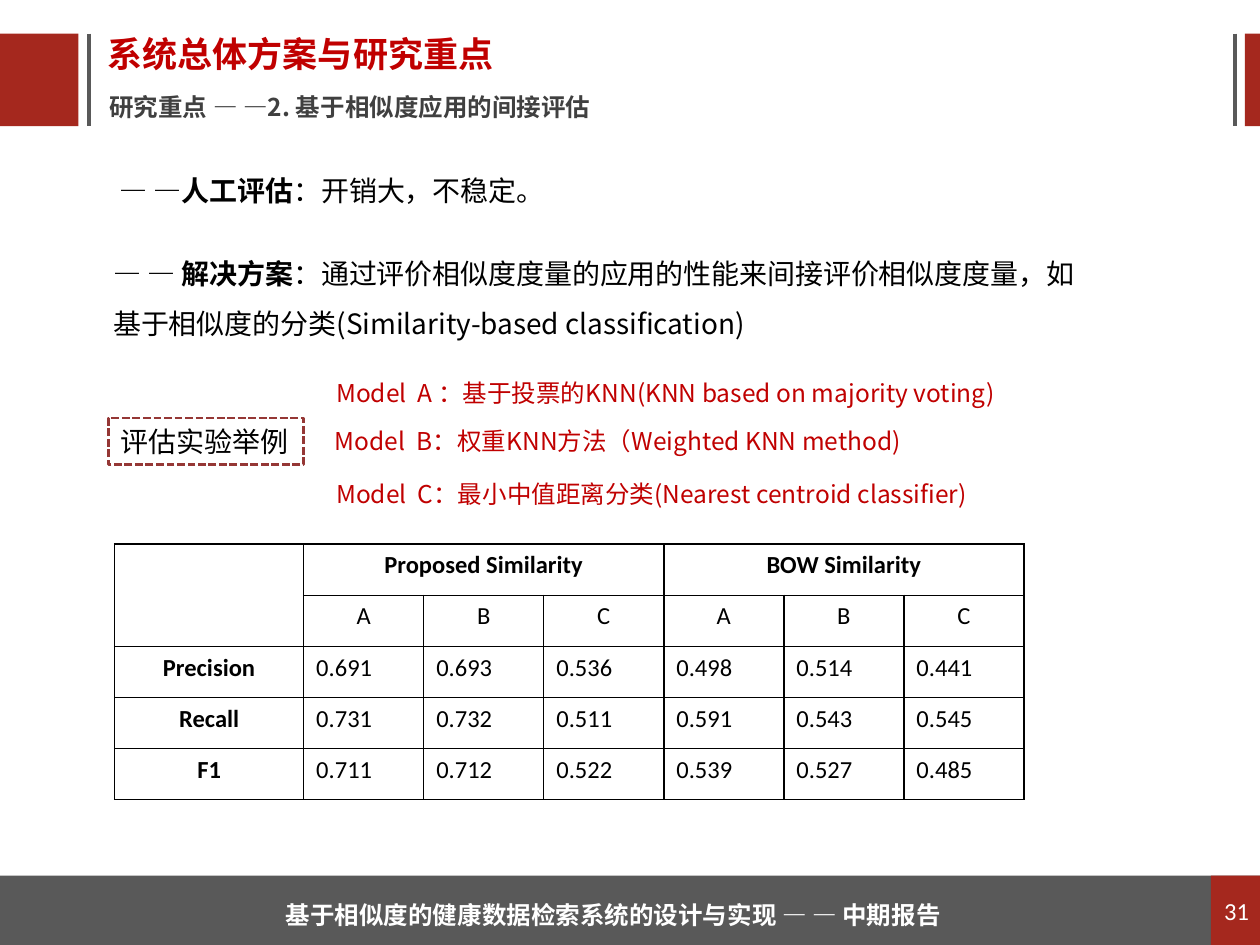
"""Build the slide on indirect evaluation through similarity-based classification."""
from lxml.etree import SubElement
from pptx import Presentation
from pptx.dml.color import RGBColor
from pptx.enum.dml import MSO_LINE
from pptx.enum.shapes import MSO_CONNECTOR, MSO_SHAPE
from pptx.enum.text import MSO_ANCHOR, MSO_AUTO_SIZE, PP_ALIGN
from pptx.oxml.ns import qn
from pptx.util import Pt

COLORS = {name: RGBColor.from_string(value) for name, value in {
    "brick": "A5281E", "gray": "595959", "dark": "404040", "red": "C00000",
    "black": "000000", "white": "FFFFFF", "dash": "953735"}.items()}
CJK = "Noto Sans CJK SC"


def write(frame, runs, size, color, bold=False, font=CJK, align=PP_ALIGN.LEFT):
    paragraph = frame.paragraphs[0]
    paragraph.alignment = align
    paragraph.font.size = Pt(size)
    paragraph.font.name = font
    paragraph.font.color.rgb = COLORS[color]
    if len(runs) == 1:
        paragraph.font.bold = bold
    SubElement(paragraph.font._element, qn("a:ea"), typeface=font)
    for text, strong in runs:
        run = paragraph.add_run()
        run.text = text
        if len(runs) > 1:
            run.font.bold = strong
    return paragraph


def add_block(left, top, width, height, fill=None):
    block = slide.shapes.add_shape(
        MSO_SHAPE.RECTANGLE, Pt(left), Pt(top), Pt(width), Pt(height))
    block.shadow.inherit = False
    block.line.fill.background()
    if fill:
        block.fill.solid()
        block.fill.fore_color.rgb = COLORS[fill]
    else:
        block.fill.background()
    return block


prs = Presentation()
prs.slide_width, prs.slide_height = Pt(720), Pt(540)
slide = prs.slides.add_slide(prs.slide_layouts[5])

for block_left, block_width, rule_x in ((711.4, 9.2, 705.6), (0, 44.8, 51)):
    add_block(block_left, 19.2, block_width, 53, "brick")
    rule = slide.shapes.add_connector(
        MSO_CONNECTOR.STRAIGHT, Pt(rule_x), Pt(19.2), Pt(rule_x), Pt(72))
    rule.line.color.rgb = COLORS["gray"]
    rule.line.width = Pt(2.25)
    SubElement(rule._element.spPr, qn("a:effectLst"))

title = slide.shapes.title
title.left, title.top, title.width, title.height = Pt(61.5), Pt(18.7), Pt(222.5), Pt(24.5)
heading = title.text_frame
heading.margin_left = heading.margin_right = heading.margin_top = heading.margin_bottom = 0
heading.word_wrap = False
heading.auto_size = MSO_AUTO_SIZE.NONE
heading.vertical_anchor = MSO_ANCHOR.TOP
write(heading, [("系统总体方案与研究重点", True)], 20, "red", True)

add_block(-2.2, 500.4, 723.6, 39.6, "gray")
page = add_block(691.9, 500.4, 29.5, 39.6, "brick").text_frame
page.word_wrap = False
page.vertical_anchor = MSO_ANCHOR.MIDDLE
write(page, [("31", False)], 14, "white", font="Calibri", align=PP_ALIGN.CENTER)

texts = [
    (55.4, 49, 308, 24.5, True, 14, "dark", 1,
     [("研究重点 — —2. 基于相似度应用的间接评估", True)]),
    (61.2, 95.8, 264, 26.6, False, 16, "black", 1,
     [("— —", False), ("人工评估", True), ("：开销大，不稳定。", False)]),
    (57.6, 133.2, 568.8, 65.5, True, 16, "black", 1.5,
     [("— — ", False), ("解决方案", True),
      ("：通过评价相似度度量的应用的性能来间接评价相似度度量，"
       "如基于相似度的分类(Similarity-based classification)", False)]),
    (185, 212.4, 530, 24.5, True, 14, "red", 1,
     [("Model  A ：基于投票的KNN(KNN based on majority voting)", False)]),
    (184.3, 239.8, 530, 24.5, True, 14, "red", 1,
     [("Model  B：权重KNN方法（Weighted KNN method)", False)]),
    (185, 270, 530, 24.5, True, 14, "red", 1,
     [("Model  C：最小中值距离分类(Nearest centroid classifier)", False)]),
    (156.2, 502.6, 396.7, 32.4, False, 14, "white", 1.5,
     [("基于相似度的健康数据检索系统的设计与实现 — — 中期报告", True)]),
]
for left, top, width, height, wrap, size, color, spacing, runs in texts:
    frame = slide.shapes.add_textbox(Pt(left), Pt(top), Pt(width), Pt(height)).text_frame
    frame.word_wrap = wrap
    write(frame, runs, size, color, runs[0][1]).line_spacing = spacing

example = add_block(61.9, 239, 111.6, 26.6)
example.line.color.rgb = COLORS["dash"]
example.line.width = Pt(1.5)
example.line.dash_style = MSO_LINE.SQUARE_DOT
example.text_frame.word_wrap = False
write(example.text_frame, [("评估实验举例", False)], 16, "black")

scores = [
    ["", "Proposed Similarity", "", "", "BOW Similarity", "", ""],
    ["", "A", "B", "C", "A", "B", "C"],
    ["Precision", "0.691", "0.693", "0.536", "0.498", "0.514", "0.441"],
    ["Recall", "0.731", "0.732", "0.511", "0.591", "0.543", "0.545"],
    ["F1", "0.711", "0.712", "0.522", "0.539", "0.527", "0.485"],
]
results = slide.shapes.add_table(
    len(scores), len(scores[0]), Pt(65.5), Pt(311), Pt(519.6), Pt(146)).table
results.first_row = results.horz_banding = False
for index, column in enumerate(results.columns):
    column.width = Pt(68.6 if index else 108)
for row in results.rows:
    row.height = Pt(29.2)
results.cell(0, 0).merge(results.cell(1, 0))
for first in (1, 4):
    results.cell(0, first).merge(results.cell(0, first + 2))

for r, values in enumerate(scores):
    for c, value in enumerate(values):
        cell = results.cell(r, c)
        properties = cell._tc.get_or_add_tcPr()
        for side in ("lnL", "lnR", "lnT", "lnB"):
            border = SubElement(properties, qn(f"a:{side}"), w=str(Pt(1)))
            SubElement(SubElement(border, qn("a:solidFill")), qn("a:srgbClr"),
                       val=str(COLORS["black"]))
        cell.fill.background()
        if value:
            is_header = r < 2 or c == 0
            write(cell.text_frame, [(value, False)], 14, "black", r == 0 or c == 0,
                  "Calibri", PP_ALIGN.CENTER if is_header else PP_ALIGN.LEFT)

prs.save("out.pptx")
